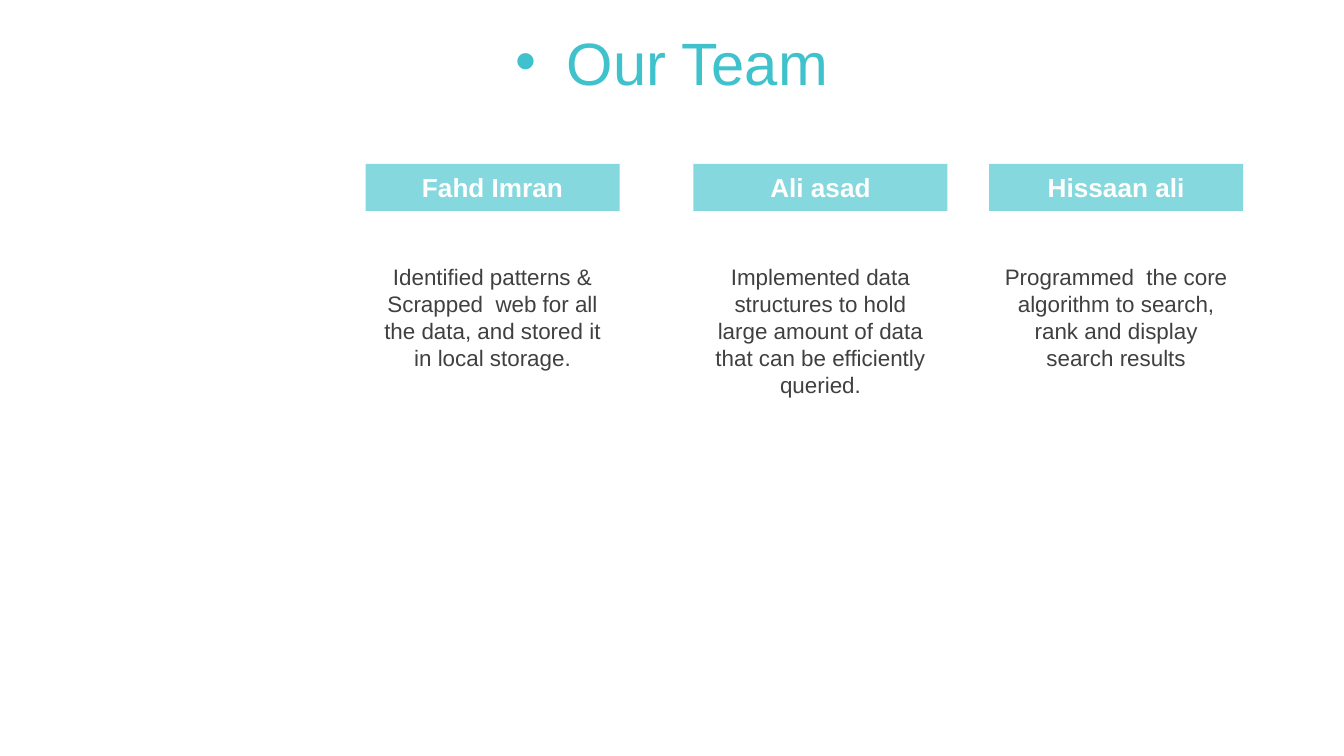
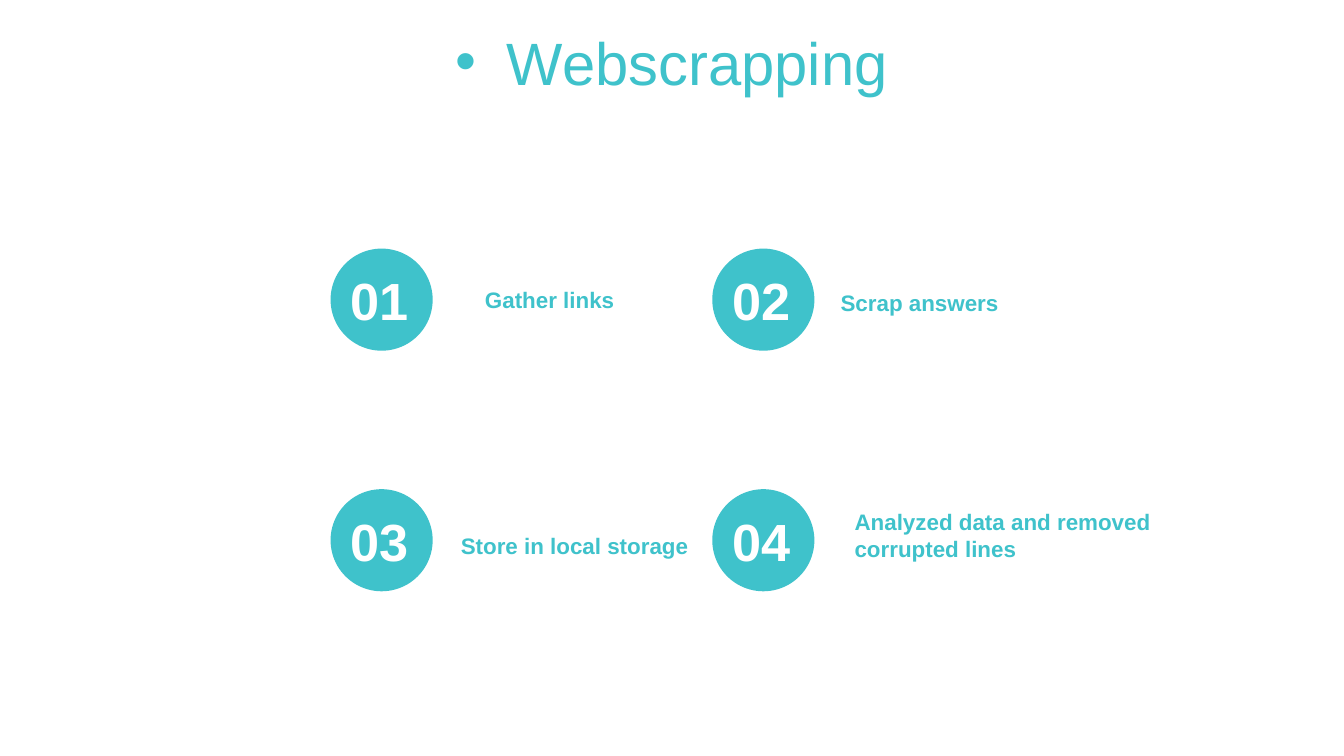
from lxml.etree import SubElement
from pptx import Presentation
from pptx.dml.color import RGBColor
from pptx.enum.shapes import MSO_SHAPE as Shape
from pptx.enum.text import MSO_ANCHOR as Anchor, MSO_AUTO_SIZE as AutoSize, PP_ALIGN as Align
from pptx.oxml.ns import qn
from pptx.util import Inches, Pt

# Content
TEAM_TITLE = "Our Team"
TEAM = [  # left edge, name, task, height of the task text
    (2.72, "Fahd Imran", "Identified patterns & Scrapped  web for all the data, "
                         "and stored it in local storage.", 0.91),
    (5.16, "Ali asad", "Implemented data structures to hold large amount of data "
                       "that can be efficiently queried.", 1.11),
    (7.36, "Hissaan ali", "Programmed  the core algorithm to search, rank and "
                          "display search results", 0.91),
]
STEPS_TITLE = "Webscrapping"
STEPS = [  # label, left, top, height
    ("Gather links", 3.51, 2.08, 0.3),
    (" Scrap answers", 6.11, 2.1, 0.3),
    ("Store in local storage", 3.33, 3.91, 0.3),
    ("Analyzed data and removed corrupted lines", 6.26, 3.73, 0.5),
]

# Shared look
PAGE_WIDTH = Inches(10)
PAGE_HEIGHT = PAGE_WIDTH * 9 // 16
TEAL, LIGHT_TEAL, GREY, WHITE = "3FC2CB", "85D8DE", "404040", "FFFFFF"
TITLE_TEXT = {"size": Pt(32), "bold": False}
NAME_TEXT = {"size": Pt(14), "bold": True}
TASK_TEXT = {"size": Pt(12), "bold": False}
NUMBER_TEXT = {"size": Pt(28), "bold": True}
LABEL_TEXT = {"size": Pt(12), "bold": True}

# Grids
COLUMN_WIDTH, NAME_TOP, NAME_HEIGHT, TASK_TOP = 1.89, 1.22, 0.35, 1.91
CIRCLE_LEFT, CIRCLE_TOP, CIRCLE_SIZE = 2.46, 1.85, 0.76
STEP_ACROSS, STEP_DOWN = 2.84, 1.79
NUMBER_WIDTH, NUMBER_HEIGHT, LABEL_WIDTH = 0.66, 0.47, 3.21


def color(hex_code):
    return RGBColor.from_string(hex_code)


def write(box, text, look, ink, align=Align.LEFT, anchor=Anchor.TOP, before=0):
    frame = box.text_frame
    frame.word_wrap = True
    frame.vertical_anchor = anchor
    para = frame.paragraphs[0]
    para.alignment = align
    para.space_before = Pt(before)
    span = para.add_run()
    span.text = text
    span.font.name = "Arial"
    span.font.color.rgb = color(ink)
    for key, value in look.items():
        setattr(span.font, key, value)
    return frame


def add_text(shapes, place, *args, **options):
    box = shapes.add_textbox(*map(Inches, place))
    frame = write(box, *args, **options)
    frame.auto_size = AutoSize.SHAPE_TO_FIT_TEXT
    return frame


def add_solid(shapes, kind, place, fill):
    shape = shapes.add_shape(kind, *map(Inches, place))
    shape.shadow.inherit = False
    shape.fill.solid()
    shape.fill.fore_color.rgb = color(fill)
    shape.line.fill.background()
    return shape


def add_page(deck, text):
    page = deck.slides.add_slide(deck.slide_layouts[5])
    title = page.shapes.title
    place = {"left": 0, "top": 0.14, "width": 10, "height": 0.63}
    for side, length in place.items():
        setattr(title, side, Inches(length))
    frame = write(title, text, TITLE_TEXT, TEAL, Align.CENTER, Anchor.MIDDLE, 6.4)
    frame.auto_size = AutoSize.NONE
    # Bullet with hanging indent
    props = frame.paragraphs[0]._p.get_or_add_pPr()
    props.set("marL", str(Inches(0.38)))
    props.set("indent", str(Inches(-0.38)))
    SubElement(props, qn("a:buFont"), typeface="Arial")
    SubElement(props, qn("a:buChar"), char="•")
    return page


def build_team(deck):
    page = add_page(deck, TEAM_TITLE)
    for left, name, task, height in TEAM:
        member = page.shapes.add_group_shape().shapes
        bar = add_solid(member, Shape.RECTANGLE,
                        (left, NAME_TOP, COLUMN_WIDTH, NAME_HEIGHT), LIGHT_TEAL)
        write(bar, name, NAME_TEXT, WHITE, Align.CENTER, Anchor.MIDDLE, 2.8)
        add_text(member, (left, TASK_TOP, COLUMN_WIDTH, height),
                 task, TASK_TEXT, GREY, Align.CENTER)


def build_steps(deck):
    page = add_page(deck, STEPS_TITLE)
    for index, (label, label_left, label_top, label_height) in enumerate(STEPS):
        row, column = divmod(index, 2)
        left = CIRCLE_LEFT + column * STEP_ACROSS
        top = CIRCLE_TOP + row * STEP_DOWN
        add_solid(page.shapes, Shape.OVAL, (left, top, CIRCLE_SIZE, CIRCLE_SIZE), TEAL)
        # Number centred on its circle
        place = (left + (CIRCLE_SIZE - NUMBER_WIDTH) / 2,
                 top + (CIRCLE_SIZE - NUMBER_HEIGHT) / 2, NUMBER_WIDTH, NUMBER_HEIGHT)
        frame = add_text(page.shapes, place, f"{index + 1:02}", NUMBER_TEXT, WHITE,
                         anchor=Anchor.MIDDLE)
        frame.margin_top = frame.margin_bottom = 0
        add_text(page.shapes, (label_left, label_top, LABEL_WIDTH, label_height),
                 label, LABEL_TEXT, TEAL, anchor=Anchor.MIDDLE)


def main():
    deck = Presentation()
    deck.slide_width, deck.slide_height = PAGE_WIDTH, PAGE_HEIGHT
    build_team(deck)
    build_steps(deck)
    deck.save("out.pptx")


if __name__ == "__main__":
    main()
